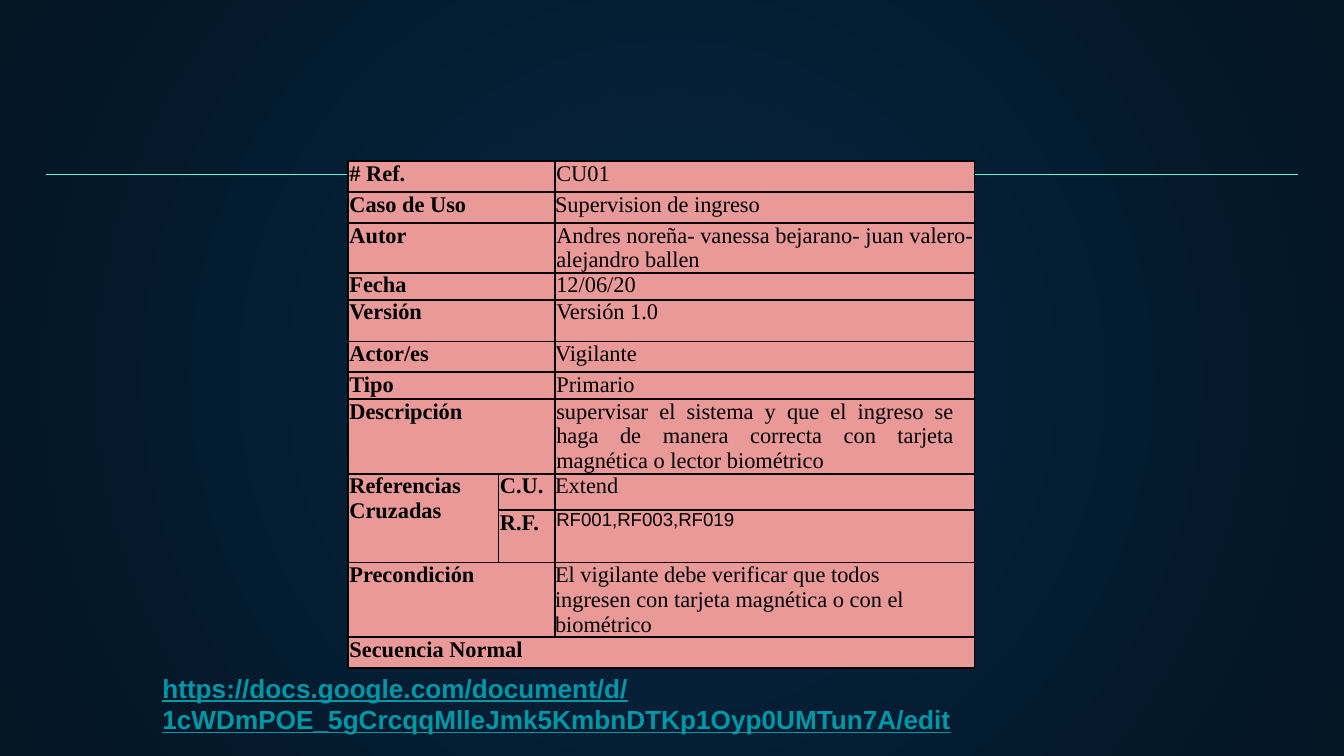
from dataclasses import dataclass

import lxml.etree
import pptx
import pptx.dml.color
import pptx.enum.shapes
import pptx.enum.text
import pptx.oxml
import pptx.oxml.ns
import pptx.table
import pptx.util

Inches = pptx.util.Inches
Pt = pptx.util.Pt
qn = pptx.oxml.ns.qn

COLORS = {
    "glow": "052643",
    "night": "041523",
    "rule": "48FFD5",
    "cell": "EA9999",
    "ink": "000000",
    "link": "0097A7",
}
SERIF, SANS = "Times New Roman", "Arial"
JUSTIFY = pptx.enum.text.PP_ALIGN.JUSTIFY


@dataclass
class Field:
    label: str
    value: str
    height: float
    space: float
    sub: str = ""
    indent: float = 0.01
    right: float = 0
    align: pptx.enum.text.PP_ALIGN | None = None
    font: str = SERIF
    size: float = 12


FIELDS = [
    Field("# Ref.", "CU01", 0.23, 1.4),
    Field("Caso de Uso", "Supervision de ingreso", 0.23, 0.3, indent=0),
    Field("Autor", "Andres noreña- vanessa bejarano- juan valero- alejandro ballen", 0.2, 0.2),
    Field("Fecha", "12/06/20", 0.2, 0.3),
    Field("Versión", "Versión 1.0", 0.31, 0.3),
    Field("Actor/es", "Vigilante", 0.23, 0.2, indent=0),
    Field("Tipo", "Primario", 0.2, 0.3),
    Field("Descripción", "supervisar el sistema y que el ingreso se haga de manera correcta "
          "con tarjeta magnética o lector biométrico", 0.38, 0.3, right=0.15, align=JUSTIFY),
    Field("Referencias\nCruzadas", "Extend", 0.27, 0.2, sub="C.U.", indent=0),
    Field("", "RF001,RF003,RF019", 0.39, 0.3, sub="R.F.", font=SANS, size=10),
    Field("Precondición", "El vigilante debe verificar que todos ingresen con tarjeta magnética "
          "o con el biométrico", 0.38, 0.2, indent=0, right=0.15),
    Field("Secuencia Normal", "", 0.23, 0.9),
]
COLUMNS = [1.12, 0.42, 3.12]


def rgb(name: str) -> pptx.dml.color.RGBColor:
    """Return the named colour."""
    return pptx.dml.color.RGBColor.from_string(COLORS[name])


def style_run(r, font: str, size: float, color: str, bold: bool) -> None:
    """Format one run."""
    r.font.name, r.font.size, r.font.bold = font, Pt(size), bold
    r.font.color.rgb = rgb(color)


def paint_background(s) -> None:
    """Fill the slide with a circular gradient."""
    fill = s.background.fill
    fill.gradient()
    for stop, name in zip(fill.gradient_stops, ("glow", "night")):
        stop.color.rgb = rgb(name)
    grad = s.background._cSld.find(".//" + qn("a:gradFill"))
    grad.remove(grad.find(qn("a:lin")))
    circle = lxml.etree.SubElement(grad, qn("a:path"), path="circle")
    lxml.etree.SubElement(circle, qn("a:fillToRect"), l="50000", t="50000", r="50000", b="50000")


def frame_cell(cell: pptx.table._Cell) -> None:
    """Give a cell its fill, borders and zero margins."""
    cell.margin_left = cell.margin_right = cell.margin_top = cell.margin_bottom = 0
    cell.fill.solid()
    cell.fill.fore_color.rgb = rgb("cell")
    tc_pr = cell._tc.get_or_add_tcPr()
    for i, side in enumerate("LRTB"):
        tc_pr.insert(i, pptx.oxml.parse_xml(
            f'<a:ln{side} xmlns:a="http://schemas.openxmlformats.org/drawingml/2006/main" w="12700">'
            f'<a:solidFill><a:srgbClr val="{COLORS["ink"]}"/></a:solidFill></a:ln{side}>'))


def write_cell(cell: pptx.table._Cell, text: str, field: Field, is_value: bool = False) -> None:
    """Write a label or the value of a field."""
    tf = cell.text_frame
    tf.text = text
    tf.paragraphs[0].space_before = Pt(field.space)
    for p in tf.paragraphs:
        p_pr = p._p.get_or_add_pPr()
        p_pr.set("marL", str(Inches(field.indent if is_value else 0.01)))
        p_pr.set("indent", "0")
        if is_value:
            p_pr.set("marR", str(Inches(field.right)))
            p.alignment = field.align
        for r in p.runs:
            if is_value:
                style_run(r, field.font, field.size, "ink", False)
            else:
                style_run(r, SERIF, 12, "ink", True)


def add_use_case(s) -> None:
    """Draw the use case table."""
    height = sum(f.height for f in FIELDS)
    table = s.shapes.add_table(len(FIELDS), len(COLUMNS), Inches(2.59), Inches(1.2),
                               Inches(sum(COLUMNS)), Inches(height)).table
    table.first_row = table.horz_banding = False
    for column, width in zip(table.columns, COLUMNS):
        column.width = Inches(width)
    for i, field in enumerate(FIELDS):
        table.rows[i].height = Inches(field.height)
        for j in range(len(COLUMNS)):
            frame_cell(table.cell(i, j))
        for j, text in enumerate((field.label, field.sub, field.value)):
            if text:
                write_cell(table.cell(i, j), text, field, j == 2)
        if not field.label:
            table.cell(i - 1, 0).merge(table.cell(i, 0))
        elif not field.sub:
            table.cell(i, 0).merge(table.cell(i, 1 if field.value else 2))


def add_rule(s) -> None:
    """Draw the horizontal line behind the table."""
    line = s.shapes.add_connector(pptx.enum.shapes.MSO_CONNECTOR.STRAIGHT,
                                  Inches(0.34), Inches(1.3), Inches(9.66), Inches(1.3))
    line.line.color.rgb = rgb("rule")
    line.line.width = Pt(0.75)
    lxml.etree.SubElement(line._element.spPr, qn("a:effectLst"))


def add_address(s) -> None:
    """Write the document address under the table."""
    tf = s.shapes.add_textbox(Inches(1.11), Inches(4.9), Inches(8.29), Inches(0.73)).text_frame
    tf.word_wrap = True
    tf.margin_left = tf.margin_right = tf.margin_top = tf.margin_bottom = Inches(0.1)
    tf.text = "https://docs.google.com/document/d/1cWDmPOE_5gCrcqqMlleJmk5KmbnDTKp1Oyp0UMTun7A/edit"
    r = tf.paragraphs[0].runs[0]
    style_run(r, SANS, 14, "link", True)
    r.font.underline = True


def main() -> None:
    """Build and save the slide."""
    prs = pptx.Presentation()
    prs.slide_width = Inches(10)
    prs.slide_height = prs.slide_width * 9 // 16
    s = prs.slides.add_slide(prs.slide_layouts[6])
    paint_background(s)
    add_rule(s)
    add_use_case(s)
    add_address(s)
    prs.save("out.pptx")


if __name__ == "__main__":
    main()
